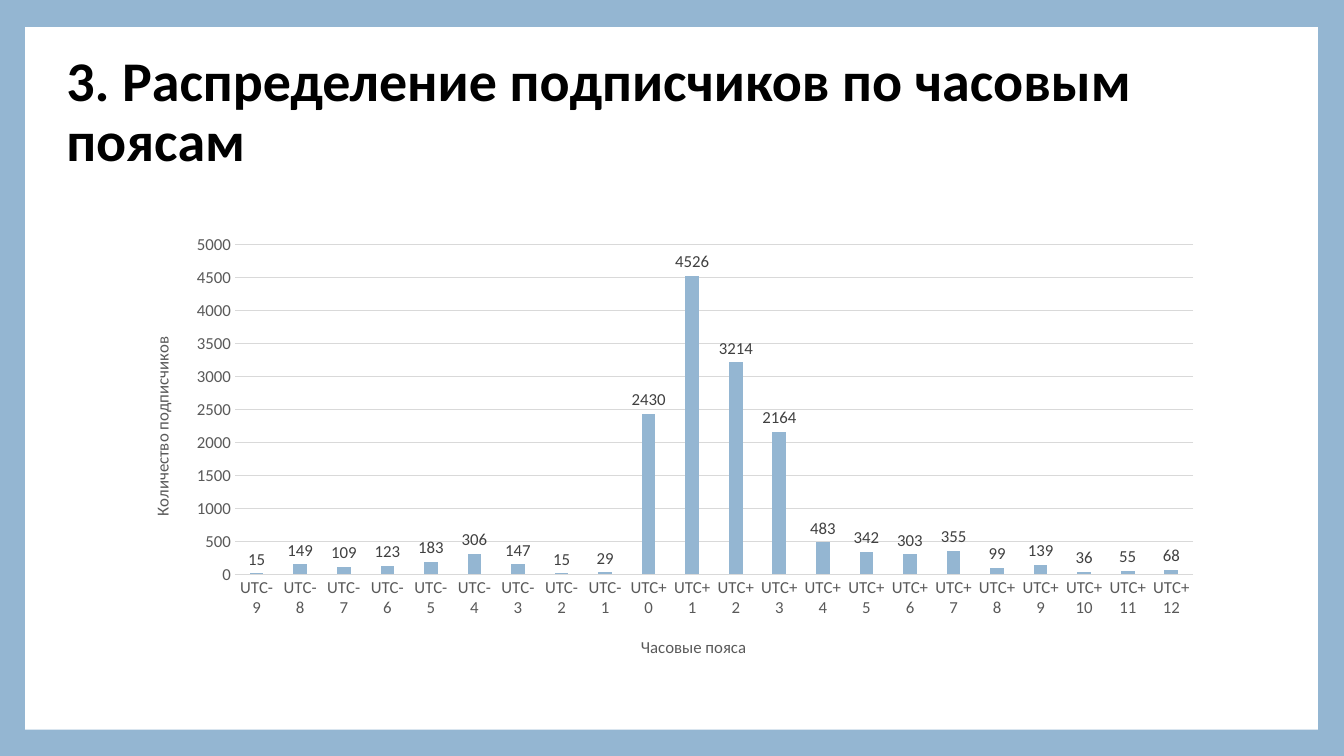
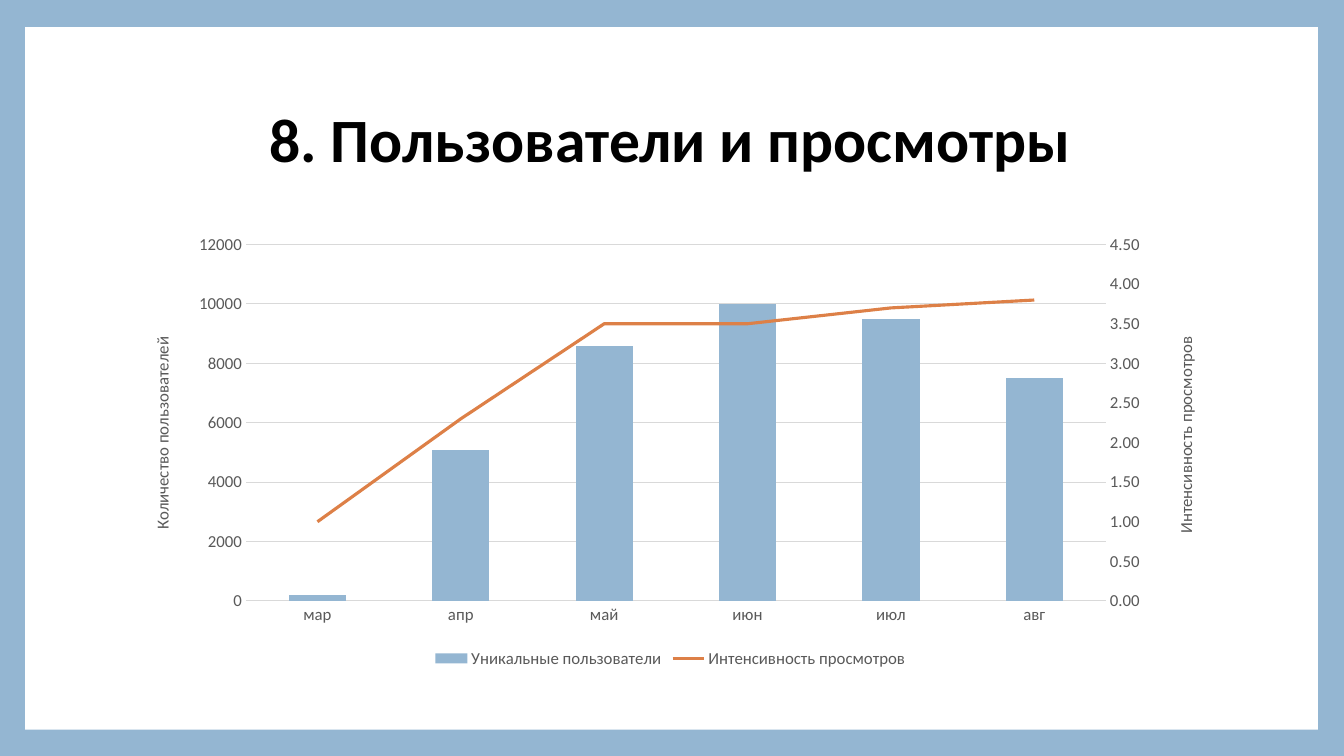
from copy import deepcopy

from pptx import Presentation
from pptx.chart.axis import ValueAxis
from pptx.chart.data import CategoryChartData
from pptx.dml.color import RGBColor
from pptx.enum.chart import XL_CHART_TYPE as ChartType
from pptx.enum.chart import XL_LABEL_POSITION as LabelPosition
from pptx.enum.chart import XL_LEGEND_POSITION as LegendPosition
from pptx.enum.chart import XL_MARKER_STYLE as MarkerStyle
from pptx.enum.chart import XL_TICK_MARK as TickMark
from pptx.enum.shapes import MSO_SHAPE as Shape
from pptx.enum.text import MSO_ANCHOR as Anchor
from pptx.enum.text import PP_ALIGN as Align
from pptx.oxml import parse_xml
from pptx.oxml.ns import nsdecls, qn
from pptx.util import Inches, Pt

BLUE = RGBColor(0x94, 0xB6, 0xD2)
ORANGE = RGBColor(0xDD, 0x80, 0x47)
WHITE = RGBColor(0xFF, 0xFF, 0xFF)
BLACK = RGBColor(0x00, 0x00, 0x00)
DARK_GRAY = RGBColor(0x40, 0x40, 0x40)
GRAY = RGBColor(0x59, 0x59, 0x59)
LIGHT_GRAY = RGBColor(0xD9, 0xD9, 0xD9)
FONT = "Calibri"


def write_text(frame, text, size=12, color=GRAY, bold=False, align=None, spacing=None):
    paragraph = frame.paragraphs[0]
    paragraph.alignment = align
    paragraph.line_spacing = spacing
    run = paragraph.add_run()
    run.text = text
    run.font.name = FONT
    run.font.size = Pt(size)
    run.font.bold = bold
    run.font.color.rgb = color


def place_in_chart(element, **fractions):
    old_layout = element.find(qn("c:layout"))
    if old_layout is not None:
        element.remove(old_layout)
    target = '<c:layoutTarget val="inner"/>' if "w" in fractions else ""
    modes = '<c:xMode val="edge"/><c:yMode val="edge"/>'
    values = "".join(f'<c:{key} val="{value}"/>' for key, value in fractions.items())
    layout = parse_xml(
        f'<c:layout {nsdecls("c")}><c:manualLayout>{target}{modes}{values}'
        "</c:manualLayout></c:layout>"
    )
    element.insert(0 if element.find(qn("c:tx")) is None else 1, layout)


presentation = Presentation()
presentation.slide_width = Inches(13.33)
presentation.slide_height = Inches(7.5)
background = presentation.slide_master.background.fill
background.solid()
background.fore_color.rgb = BLUE

offsets = range(-9, 13)
subscribers = [15, 149, 109, 123, 183, 306, 147, 15, 29, 2430, 4526,
               3214, 2164, 483, 342, 303, 355, 99, 139, 36, 55, 68]
pages = [
    {
        "title": "3. Распределение подписчиков по часовым поясам",
        "box": (0.56, 0.4, 12.27, 1.45), "size": 40, "align": Align.LEFT,
        "categories": [f"UTC{offset:+d}" for offset in offsets],
        "series": {"Series 1": subscribers},
        "gap": 219, "overlap": -27, "top": 5000, "step": 500,
        "plot": {"x": 0.1, "y": 0.04, "w": 0.88, "h": 0.74},
        "category_title": "Часовые пояса",
        "value_title": "Количество подписчиков",
    },
    {
        "title": "8. Пользователи и просмотры",
        "box": (1.25, 0.67, 10.8, 1.48), "size": 44, "align": Align.CENTER,
        "categories": ["мар", "апр", "май", "июн", "июл", "авг"],
        "series": {
            "Уникальные пользователи": [200, 5100, 8600, 10000, 9500, 7500],
            "Интенсивность просмотров": [1, 2.3, 3.5, 3.5, 3.7, 3.8],
        },
        "gap": 150, "overlap": 0, "top": 12000, "step": 2000,
        "plot": {"x": 0.11, "y": 0.04, "w": 0.79, "h": 0.8},
        "category_title": None,
        "value_title": "Количество пользователей",
    },
]

for page in pages:
    slide = presentation.slides.add_slide(presentation.slide_layouts[6])
    panel = slide.shapes.add_shape(
        Shape.RECTANGLE, Inches(0.25), Inches(0.27), Inches(12.82), Inches(6.97)
    )
    panel.shadow.inherit = False
    panel.fill.solid()
    panel.fill.fore_color.rgb = WHITE
    panel.line.fill.background()

    title = slide.shapes.add_textbox(*map(Inches, page["box"])).text_frame
    title.word_wrap = True
    title.vertical_anchor = Anchor.MIDDLE
    write_text(title, page["title"], size=page["size"], color=BLACK, bold=True,
               align=page["align"], spacing=0.9)

    data = CategoryChartData()
    data.categories = page["categories"]
    for name, values in page["series"].items():
        data.add_series(name, values)
    chart = slide.shapes.add_chart(
        ChartType.COLUMN_CLUSTERED, Inches(1.25), Inches(2.25), Inches(10.8), Inches(4.42), data
    ).chart
    chart.has_title = False
    chart.has_legend = False
    chart.font.name = FONT
    chart.font.size = Pt(12)
    chart.font.color.rgb = GRAY

    columns = chart.plots[0]
    columns.vary_by_categories = False
    columns.gap_width = page["gap"]
    columns.overlap = page["overlap"]
    column_fill = columns.series[0].format.fill
    column_fill.solid()
    column_fill.fore_color.rgb = BLUE

    category_axis, value_axis = chart.category_axis, chart.value_axis
    value_axis.minimum_scale = 0
    value_axis.maximum_scale = page["top"]
    value_axis.major_unit = page["step"]
    value_axis.has_major_gridlines = True
    grid = value_axis.major_gridlines.format.line
    grid.color.rgb = LIGHT_GRAY
    grid.width = Pt(0.75)
    category_axis.format.line.color.rgb = LIGHT_GRAY
    category_axis.format.line.width = Pt(0.75)
    value_axis.format.line.fill.background()
    axes = [
        (category_axis, page["category_title"], 0.47, 0.91, 0),
        (value_axis, page["value_title"], 0.02, 0.24, -5400000),
    ]

    plot_area = chart._chartSpace.chart.plotArea
    if len(page["series"]) == 1:
        columns.has_data_labels = True
        labels = columns.data_labels
        labels.show_value = True
        labels.position = LabelPosition.OUTSIDE_END
        labels.font.name = FONT
        labels.font.size = Pt(12)
        labels.font.color.rgb = DARK_GRAY
    else:
        line_series = columns.series[1]._element
        for inversion in line_series.findall(qn("c:invertIfNegative")):
            line_series.remove(inversion)
        line_plot = parse_xml(
            f'<c:lineChart {nsdecls("c")}><c:grouping val="standard"/><c:varyColors val="0"/>'
            '<c:marker val="1"/><c:axId val="5001"/><c:axId val="5002"/></c:lineChart>'
        )
        line_plot.insert(2, line_series)
        plot_area.find(qn("c:barChart")).addnext(line_plot)

        hidden_axis = deepcopy(category_axis._element)
        right_element = deepcopy(value_axis._element)
        value_axis._element.addnext(right_element)
        right_element.addnext(hidden_axis)
        for element, own, other in ((hidden_axis, "5001", "5002"), (right_element, "5002", "5001")):
            element.find(qn("c:axId")).set("val", own)
            element.find(qn("c:crossAx")).set("val", other)
        hidden_axis.find(qn("c:delete")).set("val", "1")
        right_element.find(qn("c:axPos")).set("val", "r")
        right_element.find(qn("c:crosses")).set("val", "max")

        right_axis = ValueAxis(right_element)
        right_axis.has_major_gridlines = False
        right_axis.maximum_scale = 4.5
        right_axis.major_unit = 0.5
        right_axis.tick_labels.number_format = "0.00"
        right_axis.tick_labels.number_format_is_linked = False
        axes.append((right_axis, "Интенсивность просмотров", 0.96, 0.24, -5400000))

        views = chart.plots[1].series[0]
        views.smooth = False
        views.marker.style = MarkerStyle.NONE
        views.format.line.color.rgb = ORANGE
        views.format.line.width = Pt(2.25)

        chart.has_legend = True
        chart.legend.position = LegendPosition.BOTTOM
        chart.legend.include_in_layout = False
        chart.legend.font.name = FONT
        chart.legend.font.size = Pt(12)
        chart.legend.font.color.rgb = GRAY

    for axis, axis_title, left, top, rotation in axes:
        axis.major_tick_mark = TickMark.NONE
        axis.minor_tick_mark = TickMark.NONE
        axis.tick_labels.font.name = FONT
        axis.tick_labels.font.size = Pt(12)
        axis.tick_labels.font.color.rgb = GRAY
        axis.has_title = axis_title is not None
        if axis_title:
            frame = axis.axis_title.text_frame
            write_text(frame, axis_title)
            frame._txBody.bodyPr.set("rot", str(rotation))
            frame._txBody.bodyPr.set("vert", "horz")
            place_in_chart(axis.axis_title._element, x=left, y=top)
    place_in_chart(plot_area, **page["plot"])

presentation.save("out.pptx")
